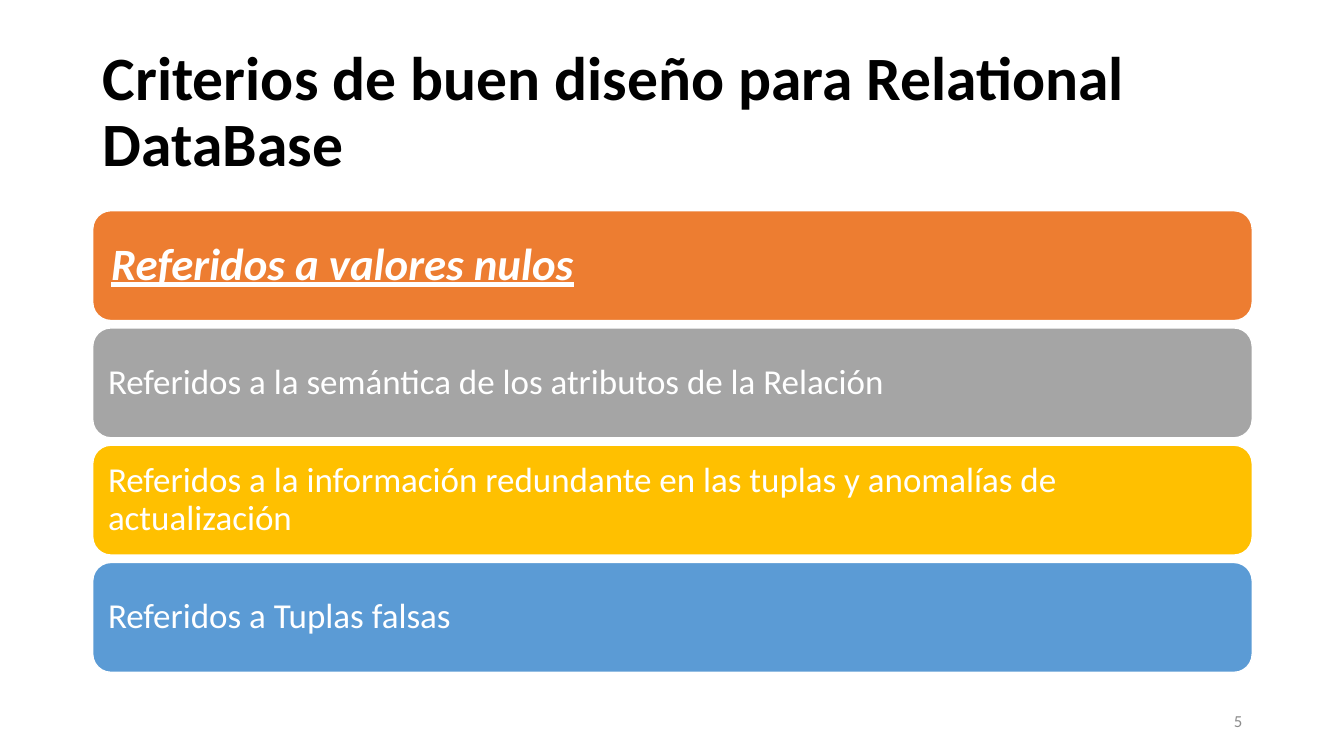
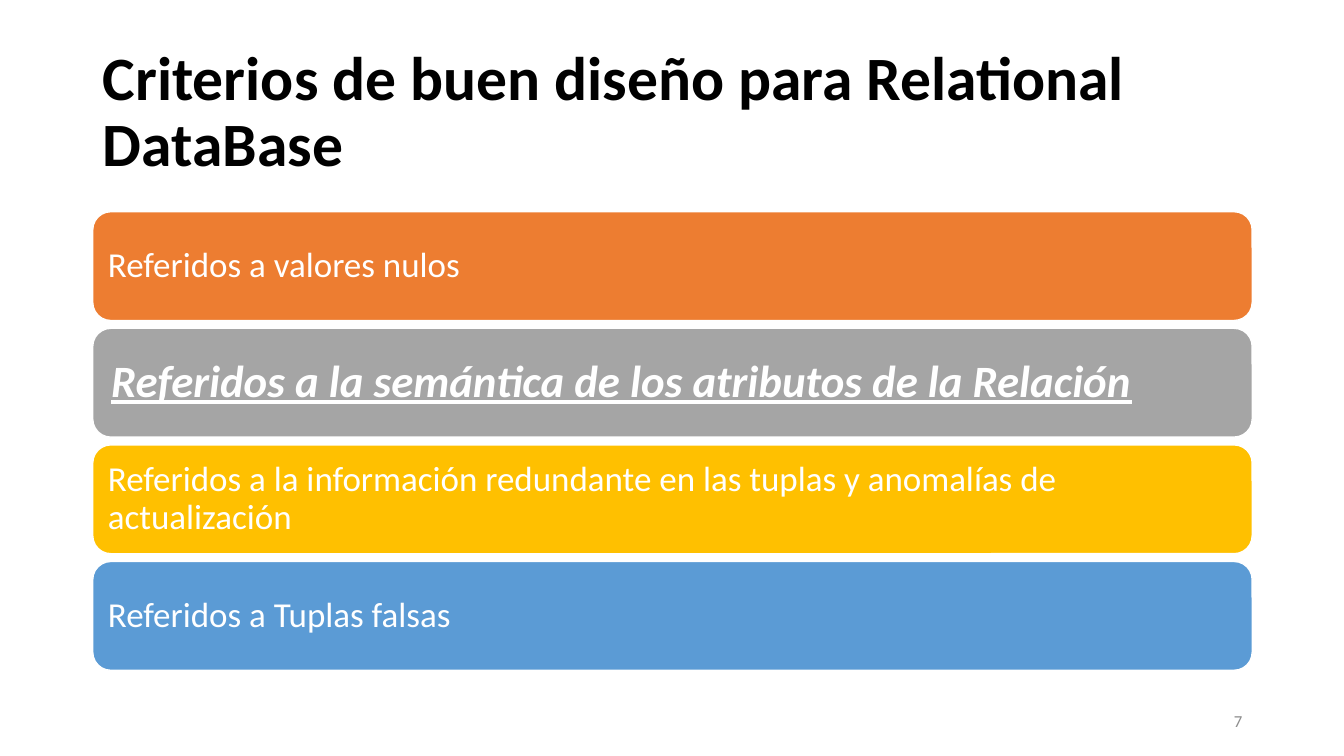
from pptx import Presentation
from pptx.dml.color import RGBColor
from pptx.enum import shapes, text
from pptx.util import Inches, Pt

BLACK = RGBColor(0x00, 0x00, 0x00)
WHITE = RGBColor(0xFF, 0xFF, 0xFF)
GRAY = RGBColor(0xA5, 0xA5, 0xA5)
NUMBER_GRAY = RGBColor(0x8C, 0x8C, 0x8C)
ORANGE = RGBColor(0xED, 0x7D, 0x31)
GOLD = RGBColor(0xFF, 0xC0, 0x00)
BLUE = RGBColor(0x5B, 0x9B, 0xD5)

FONT = "Calibri"
LEFT, WIDTH = 0.92, 11.5
TITLE = "Criterios de buen diseño para Relational DataBase"
CRITERIA = [
    ("Referidos a valores nulos", ORANGE),
    ("Referidos a la semántica de los atributos de la Relación", GRAY),
    ("Referidos a la información redundante en las tuplas y anomalías de actualización", GOLD),
    ("Referidos a Tuplas falsas", BLUE),
]
# Slide number, highlighted criterion, first and last band top, band height
SLIDES = [
    ("5", 0, 2.09, 5.58, 1.09),
    ("7", 1, 2.10, 5.57, 1.08),
]


def write(shape, content, size, color, align=text.PP_ALIGN.LEFT, spacing=0.9,
          inset=None, bold=False, italic=False, underline=False):
    frame = shape.text_frame
    frame.word_wrap = True
    frame.auto_size = text.MSO_AUTO_SIZE.NONE
    frame.vertical_anchor = text.MSO_ANCHOR.MIDDLE
    if inset is not None:
        frame.margin_left = frame.margin_right = Inches(inset)
        frame.margin_top = frame.margin_bottom = Inches(inset)
    paragraph = frame.paragraphs[0]
    paragraph.alignment = align
    paragraph.line_spacing = spacing
    run = paragraph.add_run()
    run.text = content
    font = run.font
    font.name, font.size, font.color.rgb = FONT, Pt(size), color
    font.bold, font.italic, font.underline = bold, italic, underline


presentation = Presentation()
presentation.slide_width = Inches(13.33)
presentation.slide_height = Inches(7.5)
title_only = presentation.slide_layouts.get_by_name("Title Only")

for number, highlighted, first_top, last_top, height in SLIDES:
    slide = presentation.slides.add_slide(title_only)

    title = slide.shapes.title
    title.left, title.top = Inches(LEFT), Inches(0.4)
    title.width, title.height = Inches(WIDTH), Inches(1.45)
    write(title, TITLE, 44, BLACK, bold=True)

    pitch = (last_top - first_top) / (len(CRITERIA) - 1)
    for index, (criterion, color) in enumerate(CRITERIA):
        band = slide.shapes.add_shape(
            shapes.MSO_SHAPE.ROUNDED_RECTANGLE, Inches(LEFT),
            Inches(first_top + index * pitch), Inches(WIDTH), Inches(height))
        band.shadow.inherit = False
        band.fill.solid()
        band.fill.fore_color.rgb = color
        band.line.color.rgb = WHITE
        band.line.width = Pt(1)
        if index == highlighted:
            write(band, criterion, 32, WHITE, inset=0.13,
                  bold=True, italic=True, underline=True)
        else:
            write(band, criterion, 25, WHITE, inset=0.1)

    number_box = slide.shapes.add_textbox(
        Inches(9.42), Inches(6.95), Inches(3), Inches(0.4))
    write(number_box, number, 12, NUMBER_GRAY, align=text.PP_ALIGN.RIGHT, spacing=1.0)

presentation.save("out.pptx")
